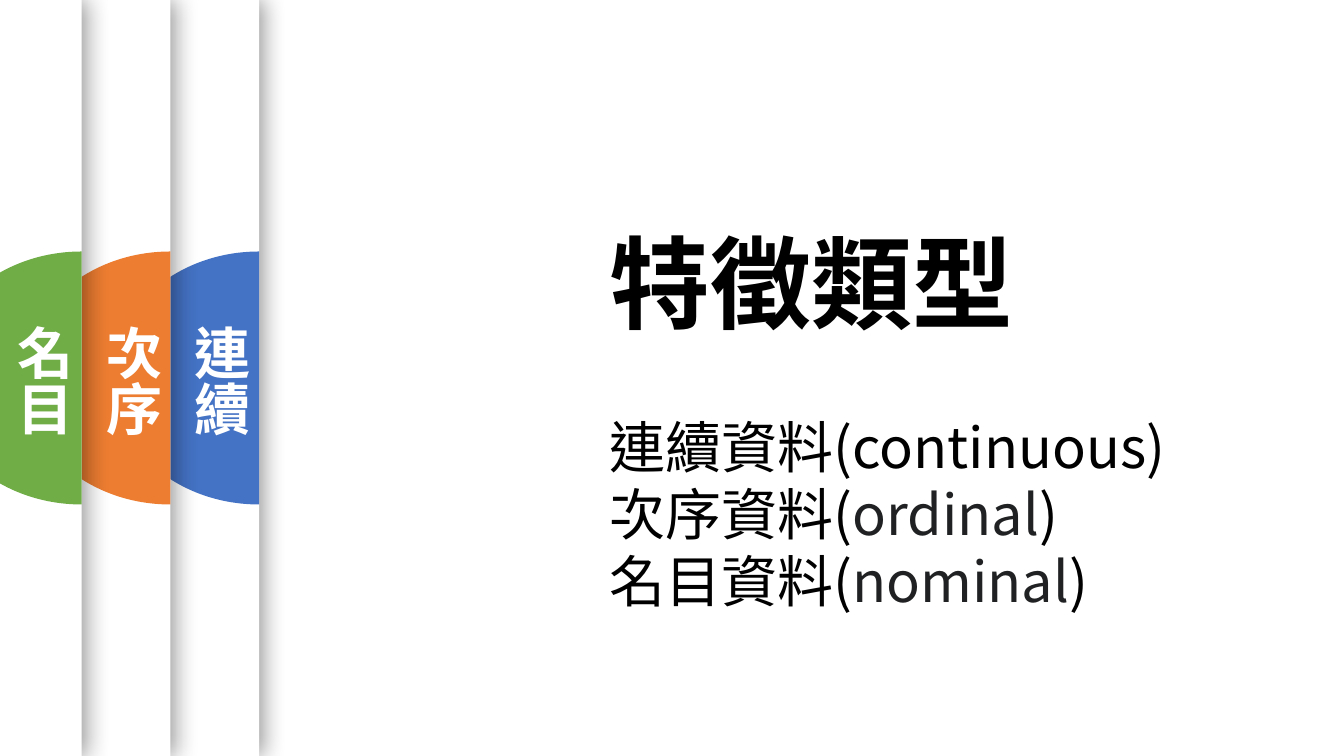
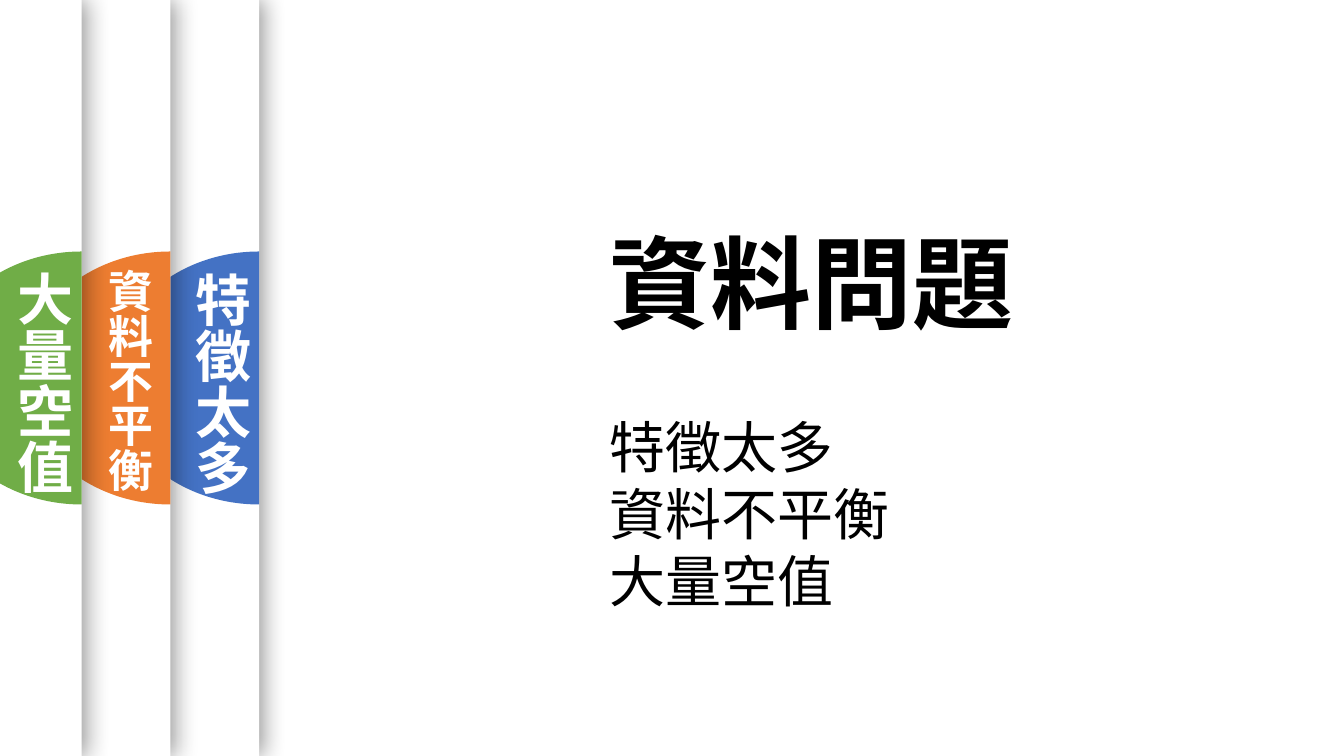
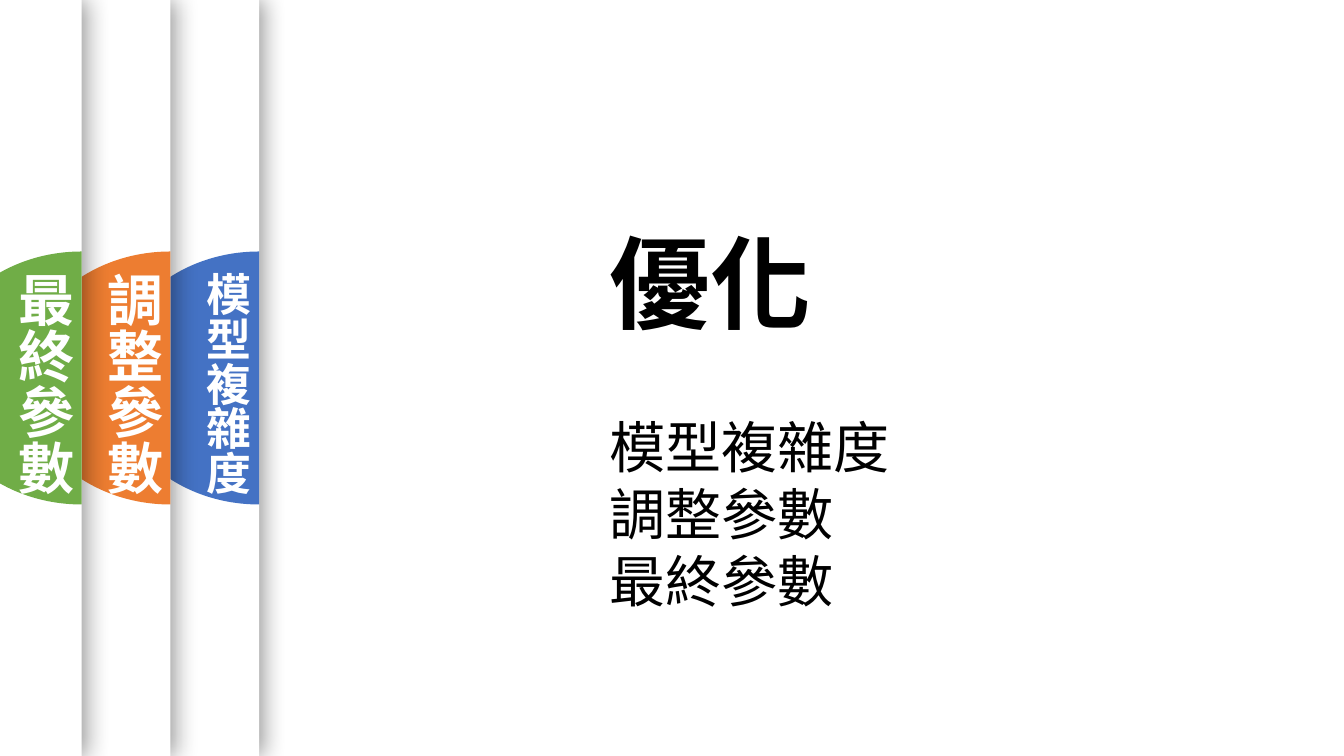
from dataclasses import dataclass

from lxml.etree import SubElement
from pptx import Presentation
from pptx.dml.color import RGBColor
from pptx.enum.shapes import MSO_SHAPE
from pptx.enum.text import MSO_AUTO_SIZE
from pptx.oxml.ns import qn
from pptx.shapes.base import BaseShape
from pptx.slide import Slide
from pptx.text.text import TextFrame, _Paragraph
from pptx.util import Inches, Pt

WHITE = RGBColor(0xFF, 0xFF, 0xFF)
BLACK = RGBColor(0, 0, 0)
GREY = RGBColor(0x20, 0x21, 0x22)
BLUE = RGBColor(0x44, 0x72, 0xC4)
ORANGE = RGBColor(0xED, 0x7D, 0x31)
GREEN = RGBColor(0x70, 0xAD, 0x47)

FONT, LANG = "Noto Sans CJK TC", "zh-TW"
WIDE, HIGH = 13.33, 7.5
LAYERS = ((2.57, BLUE), (1.69, ORANGE), (0.81, GREEN))  # right edge, disc colour
DISC_W, DISC_H = 1.47, 2.51
ROUND = 0.55                 # handle length of a quarter ellipse
TEXT_X = 5.95


@dataclass(frozen=True)
class Tab:
    """A label, with the right side, top, width and height of its box."""
    name: str
    right: float
    top: float = 2.6
    width: float = 0.88
    height: float = 2.51
    size: int = 40
    term: str = ""
    ink: RGBColor = BLACK


@dataclass(frozen=True)
class Page:
    title: str
    tabs: tuple[Tab, ...]


PAGES = (
    Page("特徵類型", (
        Tab("連續", 2.57, 3.13, height=1.65, term="continuous"),
        Tab("次序", 1.7, 3.13, 1.55, term="ordinal", ink=GREY),
        Tab("名目", 0.81, 3.13, term="nominal", ink=GREY))),
    Page("資料問題", (
        Tab("特徵太多", 2.58),
        Tab("資料不平衡", 1.6, 2.57, 1.28, 3.15, size=32),
        Tab("大量空值", 0.81, 2.59))),
    Page("優化", (
        Tab("模型複雜度", 2.57, width=0.74, size=32),
        Tab("調整參數", 1.71, height=3.15),
        Tab("最終參數", 0.82, height=3.15))),
)


def style(para: _Paragraph, size: int, color: RGBColor, bold: bool = False) -> None:
    """Set font and language for both Latin and East Asian text."""
    font = para.font
    font.size, font.bold, font.name = Pt(size), bold, FONT
    font.color.rgb = color
    props = para._p.pPr.find(qn("a:defRPr"))
    SubElement(props, qn("a:ea"), typeface=FONT)
    for run in para.runs:
        run._r.get_or_add_rPr().set("lang", LANG)


def add_box(slide: Slide, x: float, y: float, w: float, h: float,
            wrap: bool = True) -> TextFrame:
    box = slide.shapes.add_textbox(Inches(x), Inches(y), Inches(w), Inches(h))
    frame = box.text_frame
    frame.word_wrap = wrap
    frame.auto_size = MSO_AUTO_SIZE.SHAPE_TO_FIT_TEXT
    return frame


def paint(shape: BaseShape, color: RGBColor) -> None:
    shape.shadow.inherit = False
    shape.fill.solid()
    shape.fill.fore_color.rgb = color
    shape.line.fill.background()


def add_sheet(slide: Slide, edge: float) -> None:
    """Slide a full white page in from the left, with a shadow at its edge."""
    sheet = slide.shapes.add_shape(MSO_SHAPE.RECTANGLE, Inches(edge - WIDE), 0,
                                   Inches(WIDE), Inches(HIGH))
    paint(sheet, WHITE)
    effects = sheet._element.spPr.find(qn("a:effectLst"))
    shade = SubElement(effects, qn("a:outerShdw"), blurRad=str(Pt(17)),
                       dist=str(Pt(3)), dir="0", algn="l", rotWithShape="0")
    color = SubElement(shade, qn("a:srgbClr"), val=str(BLACK))
    SubElement(color, qn("a:alpha"), val="40000")


def add_disc(slide: Slide, edge: float, color: RGBColor) -> None:
    """Draw the left half of an ellipse that ends at the edge."""
    w, h = Inches(DISC_W), Inches(DISC_H)
    x, y = Inches(edge) - w, Inches((HIGH - DISC_H) / 2)
    form = slide.shapes.build_freeform(x + w, y)
    form.add_line_segments([(x + w, y + h), (x, y + h // 2), (x + w, y)])
    disc = form.convert_to_shape()
    paint(disc, color)

    bend, rise = int(w * (1 - ROUND)), int(h / 2 * ROUND)
    mid = h // 2
    curves = (((bend, h), (0, mid + rise), (0, mid)),
              ((0, mid - rise), (bend, 0), (w, 0)))
    lines = list(disc._element.iter(qn("a:lnTo")))[1:]
    for line, curve in zip(lines, curves):
        line.tag = qn("a:cubicBezTo")
        line.remove(line[0])
        for px, py in curve:
            SubElement(line, qn("a:pt"), x=str(px), y=str(py))
    SubElement(lines[-1].getparent(), qn("a:close"))


def add_label(slide: Slide, tab: Tab) -> None:
    """Write the tab's name downwards."""
    frame = add_box(slide, tab.right - tab.width, tab.top, tab.width, tab.height)
    frame._txBody.bodyPr.set("vert", "eaVert")
    para = frame.paragraphs[0]
    para.text = tab.name
    style(para, tab.size, WHITE, bold=True)


def add_title(slide: Slide, title: str) -> None:
    frame = add_box(slide, TEXT_X, 2.14, 0.2 + 1.01 * len(title), 1.31, wrap=False)
    para = frame.paragraphs[0]
    para.text = title
    style(para, 72, BLACK, bold=True)


def add_list(slide: Slide, tabs: tuple[Tab, ...]) -> None:
    frame = add_box(slide, TEXT_X, 4.04, 6.28, 2.12)
    for i, tab in enumerate(tabs):
        para = frame.add_paragraph() if i else frame.paragraphs[0]
        if tab.term:
            para.add_run().text = f"{tab.name}資料("
            term = para.add_run()
            term.text = tab.term
            term.font.color.rgb = tab.ink
            para.add_run().text = ")"
        else:
            para.text = tab.name
        style(para, 40, BLACK)


def main() -> None:
    deck = Presentation()
    deck.slide_width, deck.slide_height = Inches(WIDE), Inches(HIGH)
    for page in PAGES:
        slide = deck.slides.add_slide(deck.slide_layouts[6])
        for tab, (edge, color) in zip(page.tabs, LAYERS):
            add_sheet(slide, edge)
            add_disc(slide, edge, color)
            add_label(slide, tab)
        add_title(slide, page.title)
        add_list(slide, page.tabs)
    deck.save("out.pptx")


if __name__ == "__main__":
    main()
